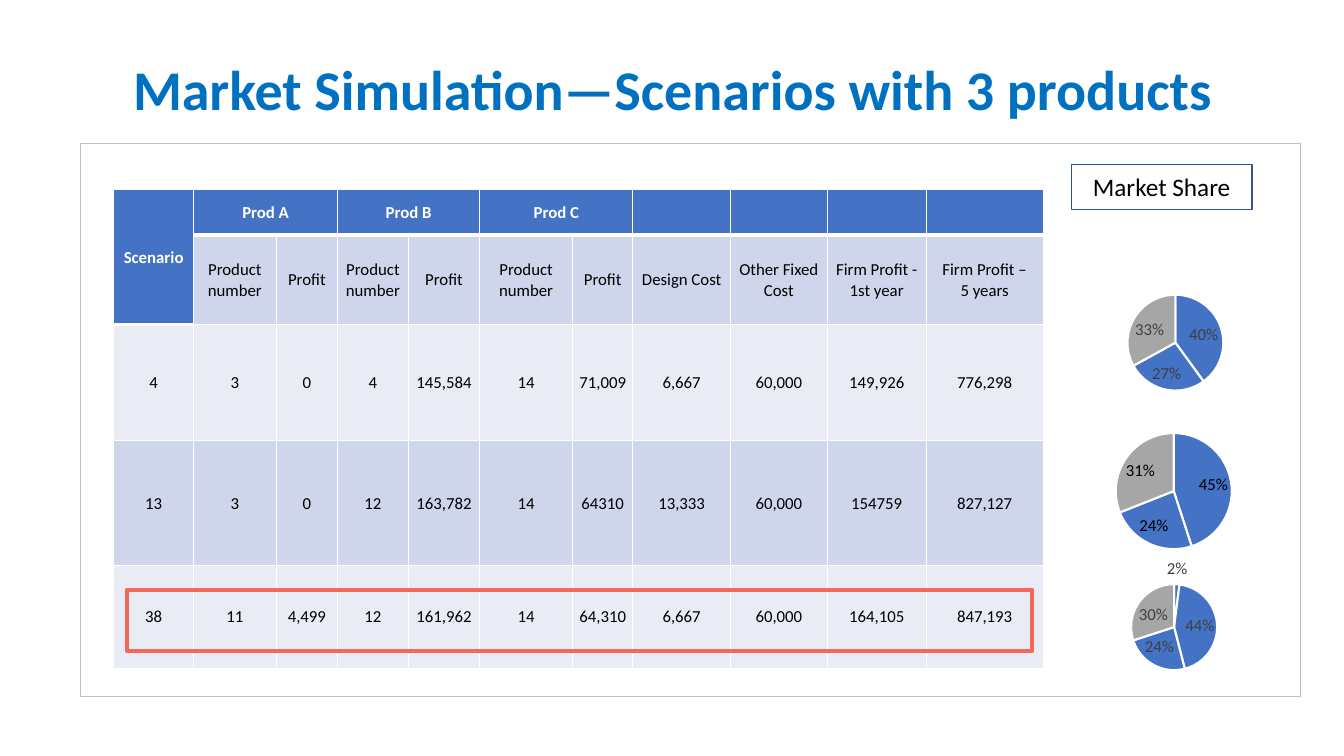
"""Build the market simulation slide with its scenario table and share pies."""
from lxml.etree import SubElement
from pptx import Presentation
from pptx.chart.data import CategoryChartData
from pptx.dml.color import RGBColor
from pptx.enum.chart import XL_CHART_TYPE as ChartType, XL_LABEL_POSITION as LabelPosition
from pptx.enum.shapes import MSO_SHAPE as ShapeKind
from pptx.enum.text import MSO_ANCHOR as Anchor, PP_ALIGN as Align
from pptx.oxml.ns import qn
from pptx.util import Cm, Pt

WHITE = RGBColor(0xFF, 0xFF, 0xFF)
BLACK = RGBColor(0x00, 0x00, 0x00)
TITLE_BLUE = RGBColor(0x00, 0x70, 0xC0)
BLUE = RGBColor(0x44, 0x72, 0xC4)
PALE_BLUE = RGBColor(0xB4, 0xC7, 0xE7)
DARK_BLUE = RGBColor(0x32, 0x54, 0x91)
DARK_BAND = RGBColor(0xCF, 0xD5, 0xEA)
LIGHT_BAND = RGBColor(0xE9, 0xEB, 0xF5)
PANEL_GREY = RGBColor(0xBF, 0xBF, 0xBF)
PIE_GREY = RGBColor(0xA6, 0xA6, 0xA6)
LABEL_GREY = RGBColor(0x40, 0x40, 0x40)
RED = RGBColor(0xF3, 0x68, 0x5A)

COLUMN_WIDTHS = (2.01, 2.08, 1.55, 1.78, 1.8, 2.34, 1.52, 2.46, 2.44, 2.49, 2.95)
ROW_HEIGHTS = (1.14, 2.26, 2.92, 3.15, 2.59)
ROW_FILLS = (BLUE, DARK_BAND, LIGHT_BAND, DARK_BAND, LIGHT_BAND)
ROWS = (
    ("Scenario", "Prod A", "", "Prod B", "", "Prod C", "", "", "", "", ""),
    ("", *("Product number", "Profit") * 3, "Design Cost", "Other Fixed Cost",
     "Firm Profit - 1st year", "Firm Profit –\n5 years"),
    ("4", "3", "0", "4", "145,584", "14", "71,009", "6,667", "60,000", "149,926", "776,298"),
    ("13", "3", "0", "12", "163,782", "14", "64310", "13,333", "60,000", "154759", "827,127"),
    ("38", "11", "4,499", "12", "161,962", "14", "64,310", "6,667", "60,000", "164,105", "847,193"),
)
PIES = (
    ((26.42, 6.58, 6.22, 4.24), (0, 0.4, 0.27, 0.33), PALE_BLUE, LABEL_GREY,
     (0.32, 0.2, 0.39, 0.57)),
    ((25.83, 10.49, 6.15, 4.24), (0, 0.45, 0.24, 0.31), PALE_BLUE, BLACK,
     (0.37, 0.1, 0.48, 0.69)),
    ((26.52, 13.74, 6.02, 4.09), (0.02, 0.44, 0.24, 0.3), BLUE, LABEL_GREY,
     (0.33, 0.24, 0.36, 0.53)),
)


def format_font(font, size, color, bold=False):
    """Apply size, colour and weight to a font."""
    values = {"name": "Calibri", "size": Pt(size), "bold": bold}
    for name, value in values.items():
        setattr(font, name, value)
    font.color.rgb = color


def write_text(text_frame, text, size, color, bold=False):
    """Write centred paragraphs into a text frame."""
    text_frame.text = text
    for paragraph in text_frame.paragraphs:
        paragraph.alignment = Align.CENTER
        format_font(paragraph.font, size, color, bold)


def add_title(slide, text):
    """Place and fill the title placeholder."""
    title = slide.shapes.title
    values = {"left": Cm(2.34), "top": Cm(0.48), "width": Cm(29.21), "height": Cm(3.68)}
    for name, value in values.items():
        setattr(title, name, value)
    title.text_frame.vertical_anchor = Anchor.MIDDLE
    write_text(title.text_frame, text, 40, TITLE_BLUE, True)
    title.text_frame.paragraphs[0].line_spacing = 0.9


def add_frame(slide, box, color, line_width):
    """Add an unfilled rectangle with a coloured outline."""
    shape = slide.shapes.add_shape(ShapeKind.RECTANGLE, *map(Cm, box))
    shape.shadow.inherit = False
    shape.fill.background()
    shape.line.color.rgb = color
    shape.line.width = Pt(line_width)
    return shape


def set_borders(cell, bottom_width):
    """Draw white borders around a table cell."""
    properties = cell._tc.get_or_add_tcPr()
    widths = {"lnL": 1, "lnR": 1, "lnT": 1, "lnB": bottom_width}
    for position, (tag, width) in enumerate(widths.items()):
        line = SubElement(properties, qn(f"a:{tag}"), w=str(Pt(width)))
        fill = SubElement(line, qn("a:solidFill"))
        SubElement(fill, qn("a:srgbClr"), val=str(WHITE))
        properties.insert(position, line)


def format_cell(cell, text, fill, is_header):
    """Fill one table cell with its text, colour and borders."""
    values = {"vertical_anchor": Anchor.MIDDLE, "margin_left": Cm(0.02),
              "margin_right": Cm(0.02), "margin_top": Cm(0.02), "margin_bottom": 0}
    for name, value in values.items():
        setattr(cell, name, value)
    write_text(cell.text_frame, text, 12, WHITE if is_header else BLACK, is_header)
    cell.fill.solid()
    cell.fill.fore_color.rgb = fill
    set_borders(cell, 3 if is_header else 1)


def add_scenario_table(slide):
    """Add the scenario table with its merged headings."""
    size = (sum(COLUMN_WIDTHS), sum(ROW_HEIGHTS))
    table = slide.shapes.add_table(
        len(ROWS), len(COLUMN_WIDTHS), Cm(2.87), Cm(4.78), *map(Cm, size)).table
    for column, width in zip(table.columns, COLUMN_WIDTHS):
        column.width = Cm(width)
    for row, height in zip(table.rows, ROW_HEIGHTS):
        row.height = Cm(height)
    for row_index, (texts, fill) in enumerate(zip(ROWS, ROW_FILLS)):
        for column_index, text in enumerate(texts):
            is_header = row_index == 0 or (row_index, column_index) == (1, 0)
            format_cell(table.cell(row_index, column_index), text,
                        BLUE if is_header else fill, is_header)
    table.cell(0, 0).merge(table.cell(1, 0))
    for column_index in (1, 3, 5):
        table.cell(0, column_index).merge(table.cell(0, column_index + 1))


def set_plot_layout(chart, layout):
    """Fix the inner plot area as fractions of the chart."""
    plot_area = chart._chartSpace.chart.plotArea
    for old_layout in plot_area.findall(qn("c:layout")):
        plot_area.remove(old_layout)
    holder = SubElement(plot_area, qn("c:layout"))
    plot_area.insert(0, holder)
    manual = SubElement(holder, qn("c:manualLayout"))
    settings = {"layoutTarget": "inner", "xMode": "edge", "yMode": "edge",
                **dict(zip("xywh", layout))}
    for tag, value in settings.items():
        SubElement(manual, qn(f"c:{tag}"), val=str(value))


def add_share_pie(slide, box, shares, first_color, label_color, layout):
    """Add a market share pie with percentage labels."""
    data = CategoryChartData(number_format="0%")
    data.categories = ["1", "2", "3", "4"]
    data.add_series("Series 1", shares)
    chart = slide.shapes.add_chart(ChartType.PIE, *map(Cm, box), data).chart
    chart.has_title = False
    chart.has_legend = False
    format_font(chart.font, 10, BLACK)
    plot = chart.plots[0]
    plot.vary_by_categories = True
    for index, color in enumerate((first_color, BLUE, BLUE, PIE_GREY)):
        point = plot.series[0].points[index].format
        point.fill.solid()
        point.fill.fore_color.rgb = color
        point.line.color.rgb = WHITE
        point.line.width = Pt(1.5)
    labels = plot.series[0].data_labels
    values = {"show_value": True, "show_percentage": False, "number_format": "0%;;",
              "number_format_is_linked": False, "position": LabelPosition.BEST_FIT}
    for name, value in values.items():
        setattr(labels, name, value)
    format_font(labels.font, 12, label_color)
    set_plot_layout(chart, layout)


def main():
    """Compose the slide and save it."""
    presentation = Presentation()
    presentation.slide_width = Cm(33.87)
    presentation.slide_height = Cm(19.05)
    slide = presentation.slides.add_slide(presentation.slide_layouts[5])
    add_frame(slide, (2.01, 3.61, 30.76, 13.94), PANEL_GREY, 0.25)
    add_scenario_table(slide)
    add_title(slide, "Market Simulation—Scenarios with 3 products")
    for pie in PIES:
        add_share_pie(slide, *pie)
    add_frame(slide, (3.2, 14.86, 22.81, 1.55), RED, 3)
    heading = add_frame(slide, (27, 4.14, 4.55, 1.14), DARK_BLUE, 1)
    heading.text_frame.vertical_anchor = Anchor.MIDDLE
    write_text(heading.text_frame, "Market Share", 18, BLACK)
    presentation.save("out.pptx")


if __name__ == "__main__":
    main()
